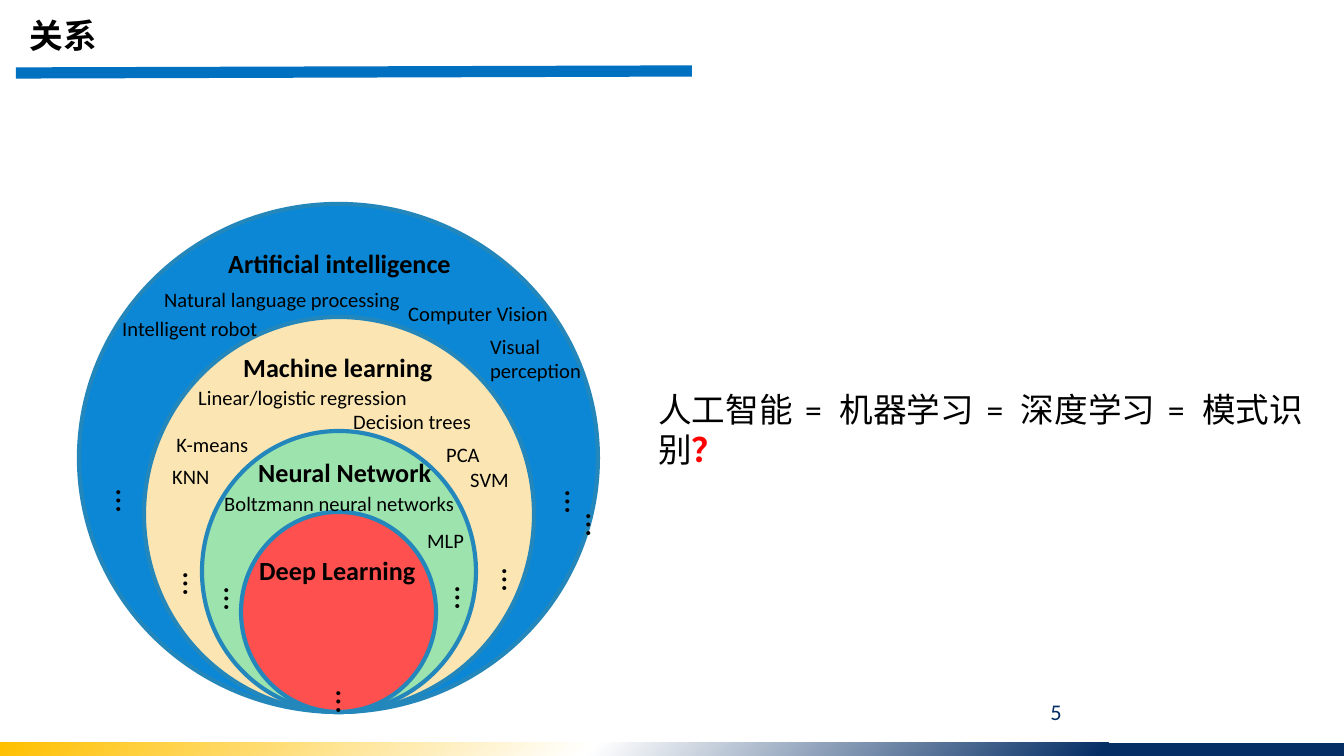
from dataclasses import dataclass

from lxml.etree import SubElement
from pptx import Presentation
from pptx.dml.color import RGBColor
from pptx.enum.shapes import MSO_CONNECTOR as Connector, MSO_SHAPE as Preset
from pptx.enum.text import MSO_ANCHOR as Anchor, MSO_AUTO_SIZE as AutoSize, PP_ALIGN as Align
from pptx.oxml import parse_xml
from pptx.oxml.ns import nsdecls, qn
from pptx.util import Emu, Pt

EMU_PER_PX = 914400 / 134.4
FONT = "Calibri"
BLACK, NAVY, RED = "000000", "052E65", "FF0000"
OUTLINE, RULE = "2487BB", "0070C0"


@dataclass
class Field:
    title: str
    left: int
    top: int
    width: int
    color: str
    title_left: int
    title_top: int
    title_width: int


@dataclass
class Label:
    text: str
    left: int
    top: int
    width: int
    height: int = 39
    wrap: bool = False


CIRCLE_BOTTOM = 712
FIELDS = [
    Field("Artificial intelligence", 79, 204, 519, "0B87D6", 215, 241, 253),
    Field("Machine learning", 144, 317, 390, "FBE6B3", 230, 345, 218),
    Field("Neural Network", 202, 431, 274, "9DE3AE", 245, 450, 202),
    Field("Deep Learning", 241, 512, 195, "FF5050", 246, 548, 184),
]
TOPICS = [
    Label("Natural language processing", 151, 280, 265),
    Label("Computer Vision", 395, 294, 168),
    Label("Intelligent robot", 109, 309, 164),
    Label("Visual\nperception", 477, 327, 118, 63),
    Label("K-means", 163, 425, 99),
    Label("KNN", 159, 457, 65),
    Label("SVM", 457, 460, 66),
    Label("Decision trees", 340, 402, 161, wrap=True),
    Label("PCA", 433, 435, 60),
    Label("Linear/logistic regression", 185, 378, 288, wrap=True),
    Label("Boltzmann neural networks", 211, 484, 259),
    Label("MLP", 414, 521, 65),
]
ELLIPSES = [(539, 477), (560, 500), (157, 559), (476, 555),
            (90, 476), (198, 574), (429, 573), (310, 677)]
TERMS = ["人工智能", "机器学习", "深度学习", "模式识别"]


def px(length: int) -> Emu:
    return Emu(round(length * EMU_PER_PX))


def rgb(color: str) -> RGBColor:
    return RGBColor.from_string(color)


def add_run(paragraph, text: str, size: int, color: str = BLACK, bold: bool = False):
    run = paragraph.add_run()
    run.text = text
    run.font.name = FONT
    run.font.size = Pt(size)
    run.font.bold = bold
    run.font.color.rgb = rgb(color)
    return run


def add_box(slide, left: int, top: int, width: int, height: int, wrap: bool = False):
    frame = slide.shapes.add_textbox(px(left), px(top), px(width), px(height)).text_frame
    frame.word_wrap = wrap
    frame.auto_size = AutoSize.SHAPE_TO_FIT_TEXT
    return frame


def add_label(slide, label: Label, size: int, bold: bool = False) -> None:
    frame = add_box(slide, label.left, label.top, label.width, label.height, label.wrap)
    for index, line in enumerate(label.text.split("\n")):
        paragraph = frame.add_paragraph() if index else frame.paragraphs[0]
        add_run(paragraph, line, size, bold=bold)


def add_circle(slide, field: Field) -> None:
    circle = slide.shapes.add_shape(
        Preset.OVAL, px(field.left), px(field.top), px(field.width), px(CIRCLE_BOTTOM - field.top))
    circle.shadow.inherit = False
    circle.fill.solid()
    circle.fill.fore_color.rgb = rgb(field.color)
    circle.line.color.rgb = rgb(OUTLINE)
    circle.line.width = Pt(2.25)


def add_vertical_dots(slide, left: int, top: int) -> None:
    frame = add_box(slide, left, top, 67, 36)
    frame._txBody.bodyPr.set("vert", "eaVert")
    add_run(frame.paragraphs[0], "…", 18)


def add_footer(slide) -> None:
    bar = slide.shapes.add_shape(Preset.RECTANGLE, 0, px(743), px(1344), px(13))
    bar.shadow.inherit = False
    bar.line.fill.background()
    stops = "".join(
        f'<a:gs pos="{percent * 1000}"><a:srgbClr val="{color}"/></a:gs>'
        for percent, color in [(0, "FFC000"), (44, "FFFFFF"), (82, NAVY)])
    gradient = parse_xml(
        f'<a:gradFill {nsdecls("a")} rotWithShape="1"><a:gsLst>{stops}</a:gsLst>'
        '<a:path path="circle"><a:fillToRect r="100000" b="100000"/></a:path></a:gradFill>')
    bar._element.spPr.find(qn("a:prstGeom")).addnext(gradient)

    number = add_box(slide, 1012, 692, 63, 40, wrap=True)
    number.auto_size = AutoSize.NONE
    number.vertical_anchor = Anchor.MIDDLE
    number.paragraphs[0].alignment = Align.RIGHT
    add_run(number.paragraphs[0], "5", 12, NAVY)


def add_heading(slide) -> None:
    rule = slide.shapes.add_connector(Connector.STRAIGHT, px(16), px(73), px(692), px(71))
    rule.line.color.rgb = rgb(RULE)
    rule.line.width = Pt(6)
    SubElement(rule._element.spPr, qn("a:effectLst"))

    title = slide.shapes.title
    title.left, title.top, title.width, title.height = px(16), px(8), px(95), px(54)
    frame = title.text_frame
    frame.word_wrap = False
    frame.auto_size = AutoSize.SHAPE_TO_FIT_TEXT
    frame.vertical_anchor = Anchor.TOP
    frame.paragraphs[0].alignment = Align.LEFT
    add_run(frame.paragraphs[0], "关系", 18, bold=True)


def add_question(slide) -> None:
    paragraph = add_box(slide, 645, 382, 702, 54, wrap=True).paragraphs[0]
    for index, term in enumerate(TERMS):
        if index:
            equals = add_run(paragraph, " = ", 18)
            equals.font._element.set("spc", "270")
        add_run(paragraph, term, 18)
    add_run(paragraph, "？", 18, RED, bold=True)


def main() -> None:
    deck = Presentation()
    deck.slide_width, deck.slide_height = px(1344), px(756)
    slide = deck.slides.add_slide(deck.slide_layouts[5])
    add_footer(slide)
    add_heading(slide)
    for field in FIELDS:
        add_circle(slide, field)
    for field in FIELDS:
        heading = Label(field.title, field.title_left, field.title_top, field.title_width, 46)
        add_label(slide, heading, 14, bold=True)
    for topic in TOPICS:
        add_label(slide, topic, 11)
    for left, top in ELLIPSES:
        add_vertical_dots(slide, left, top)
    add_question(slide)
    deck.save("out.pptx")


if __name__ == "__main__":
    main()
